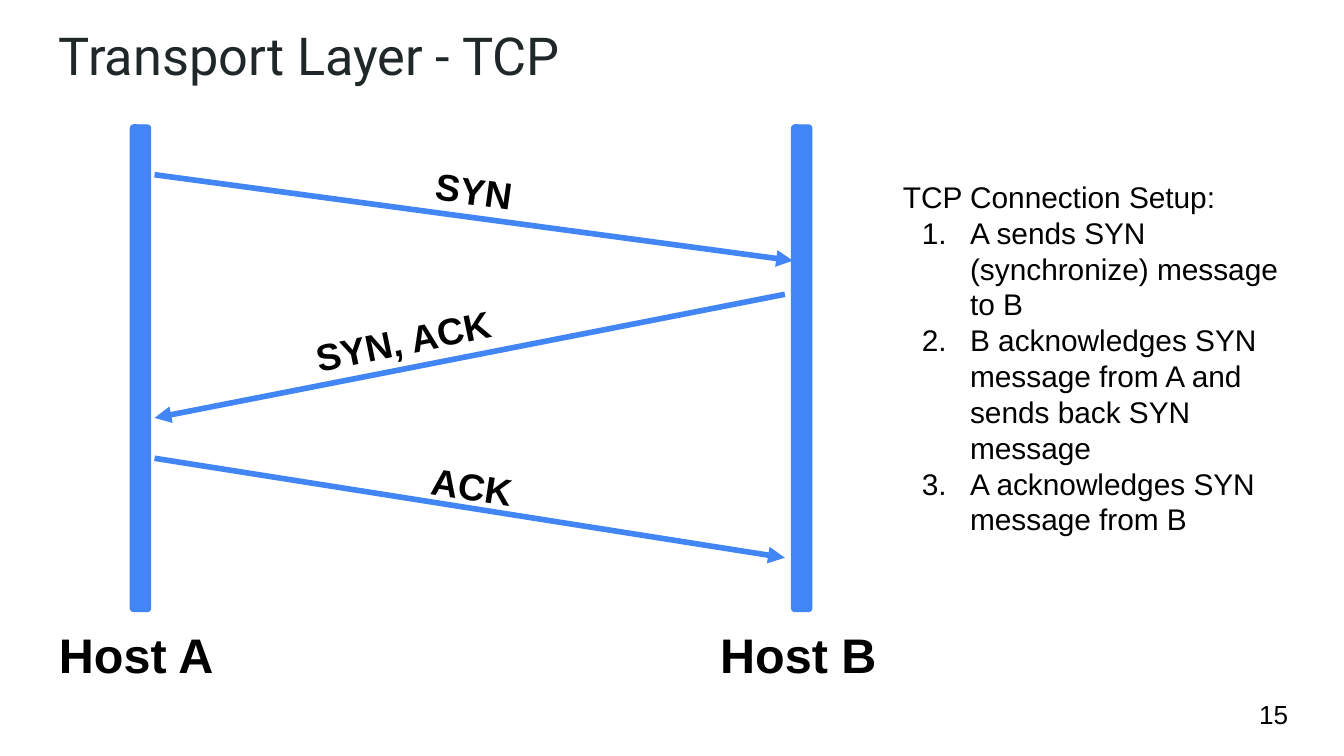
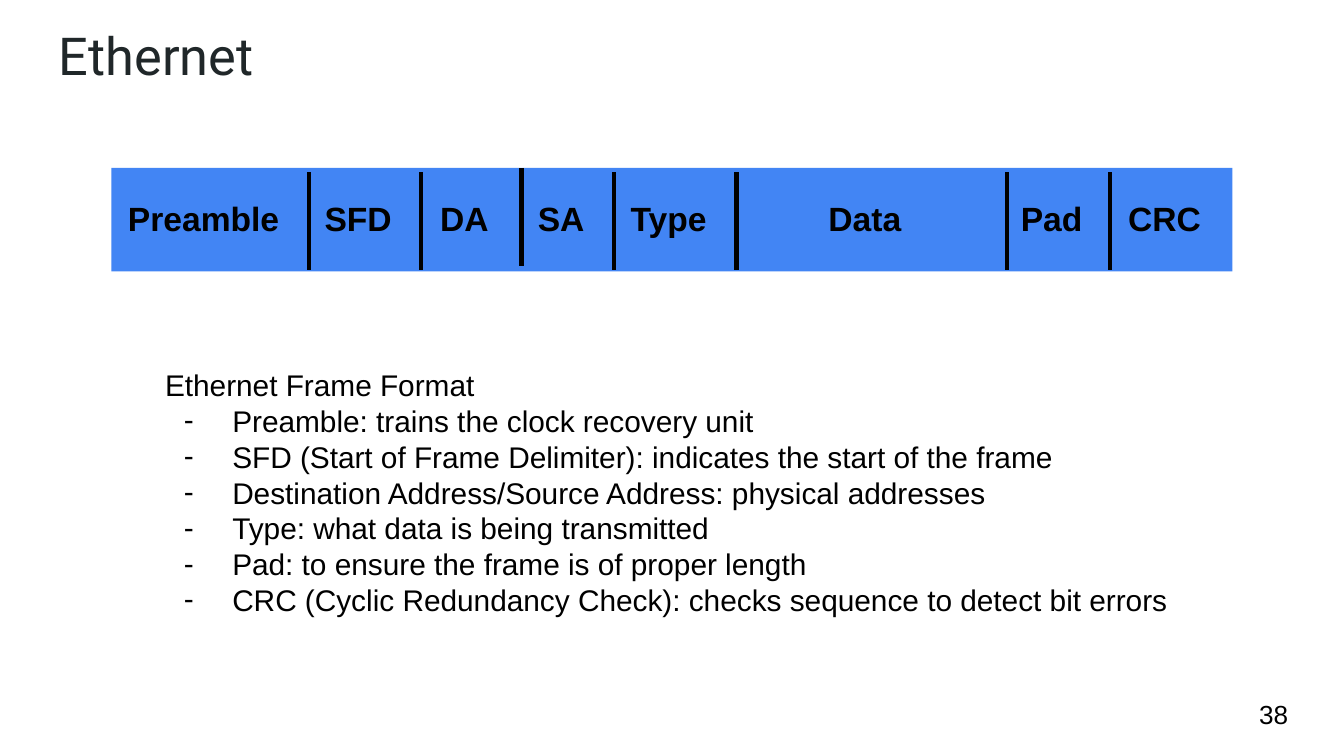
"""Builds two networking slides: the TCP handshake and the Ethernet frame."""
import pptx
import pptx.dml.color
import pptx.enum.shapes
import pptx.enum.text
import pptx.oxml.ns
import pptx.util
import lxml.etree

COLORS = {"title": "202729", "text": "000000", "blue": "4285F4"}
SHAPES = pptx.enum.shapes.MSO_SHAPE
MIDDLE = pptx.enum.text.MSO_ANCHOR.MIDDLE
TOP = pptx.enum.text.MSO_ANCHOR.TOP
CENTER = pptx.enum.text.PP_ALIGN.CENTER
qn = pptx.oxml.ns.qn

deck = pptx.Presentation()
deck.slide_width = pptx.util.Inches(10)
deck.slide_height = pptx.util.Inches(5.625)
column = deck.slide_width / 100
row = deck.slide_height / 56.25


def write(slide, area, lines, size, bold=False, color="text", font="Arial",
          anchor=TOP, align=None, turn=0, bullet=None):
    """Place text on the grid; lines after the first take the bullet."""
    left, top, width, height = area
    box = slide.shapes.add_textbox(int(left * column), int(top * row),
                                   int(width * column), int(height * row))
    box.rotation = turn
    frame = box.text_frame
    frame.word_wrap = True
    frame.vertical_anchor = anchor
    frame.margin_left = frame.margin_right = int(column)
    frame.margin_top = frame.margin_bottom = int(row)
    frame.text = "\n".join(lines)
    for index, paragraph in enumerate(frame.paragraphs):
        if bullet and index:
            properties = paragraph._p.get_or_add_pPr()
            properties.set("marL", str(int(5 * column)))
            properties.set("indent", str(int(-3.6 * column)))
            tag, key, value = bullet
            lxml.etree.SubElement(properties, qn("a:buFont")).set("typeface", "Arial")
            lxml.etree.SubElement(properties, qn(tag)).set(key, value)
        paragraph.alignment = align
        paragraph.font.name = font
        paragraph.font.size = pptx.util.Pt(size)
        paragraph.font.bold = bold
        paragraph.font.color.rgb = pptx.dml.color.RGBColor.from_string(COLORS[color])


def draw_line(slide, start, end, color, width, arrow=False):
    """Draw a straight line between two grid points."""
    line = slide.shapes.add_connector(
        pptx.enum.shapes.MSO_CONNECTOR.STRAIGHT,
        int(start[0] * column), int(start[1] * row),
        int(end[0] * column), int(end[1] * row))
    line.line.color.rgb = pptx.dml.color.RGBColor.from_string(COLORS[color])
    line.line.width = pptx.util.Pt(width)
    if arrow:
        stroke = line.line._get_or_add_ln()
        lxml.etree.SubElement(stroke, qn("a:tailEnd")).set("type", "triangle")
    lxml.etree.SubElement(line._element.spPr, qn("a:effectLst"))


slides = []
for title, number in [("Transport Layer - TCP", "15"), ("Ethernet", "38")]:
    slide = deck.slides.add_slide(deck.slide_layouts[6])
    write(slide, (3.4, 0.7, 93.2, 6.3), [title], 28, color="title", font="Roboto")
    write(slide, (92.7, 51, 6, 4.3), [number], 14, anchor=MIDDLE)
    slides.append(slide)
handshake, ethernet = slides

blue = pptx.dml.color.RGBColor.from_string(COLORS["blue"])
for host, post_left, label_left in [("Host A", 9.7, 3.4), ("Host B", 58.9, 52.6)]:
    post = handshake.shapes.add_shape(
        SHAPES.ROUNDED_RECTANGLE, int(post_left * column), int(9.3 * row),
        int(1.5 * column), int(36.2 * row))
    post.shadow.inherit = False
    post.fill.solid()
    post.fill.fore_color.rgb = blue
    post.line.color.rgb = blue
    post.line.width = pptx.util.Pt(0.75)
    write(handshake, (label_left, 45.5, 14.1, 5.5), [host], 26, bold=True)

messages = [
    ("SYN", (11.5, 13), (59, 19.4), (31.5, 11.5, 7.7, 4.3), 8),
    ("SYN, ACK", (58.4, 21.9), (11.5, 31.1), (22.3, 22.6, 15.6, 4.3), 348.4),
    ("ACK", (11.5, 34.1), (58.4, 41.5), (31.2, 33.5, 8.3, 4.3), 8.8),
]
for message, start, end, label_area, turn in messages:
    draw_line(handshake, start, end, "blue", 3, arrow=True)
    write(handshake, label_area, [message], 20, bold=True, turn=turn)

write(handshake, (66.2, 12.3, 30.3, 31.6), [
    "TCP Connection Setup:",
    "A sends SYN (synchronize) message to B",
    "B acknowledges SYN message from A and sends back SYN message",
    "A acknowledges SYN message from B",
], 16, bullet=("a:buAutoNum", "type", "arabicPeriod"))

frame_left, frame_top, frame_width, frame_height = 8.3, 12.5, 83.4, 7.7
band = ethernet.shapes.add_shape(
    SHAPES.RECTANGLE, int(frame_left * column), int(frame_top * row),
    int(frame_width * column), int(frame_height * row))
band.shadow.inherit = False
band.fill.solid()
band.fill.fore_color.rgb = blue
band.line.fill.background()

fields = ["Preamble", "SFD", "DA", "SA", "Type", "Data", "Pad", "CRC"]
dividers = [23, 31.3, 38.8, 45.7, 54.8, 74.9, 82.6]
edges = [frame_left, *dividers, frame_left + frame_width]
for field, left, right in zip(fields, edges, edges[1:]):
    write(ethernet, (left - 0.5, 12.2, right - left, 8), [field], 18, bold=True,
          anchor=MIDDLE, align=CENTER)
    if field != fields[0]:
        top = frame_top if field == "SA" else frame_top + 0.3
        draw_line(ethernet, (left, top), (left, top + 7.3), "text", 2.25)

write(ethernet, (11.3, 26.3, 76.9, 24.7), [
    "Ethernet Frame Format",
    "Preamble: trains the clock recovery unit",
    "SFD (Start of Frame Delimiter): indicates the start of the frame",
    "Destination Address/Source Address: physical addresses",
    "Type: what data is being transmitted",
    "Pad: to ensure the frame is of proper length",
    "CRC (Cyclic Redundancy Check): checks sequence to detect bit errors",
], 16, bullet=("a:buChar", "char", "-"))

deck.save("out.pptx")
